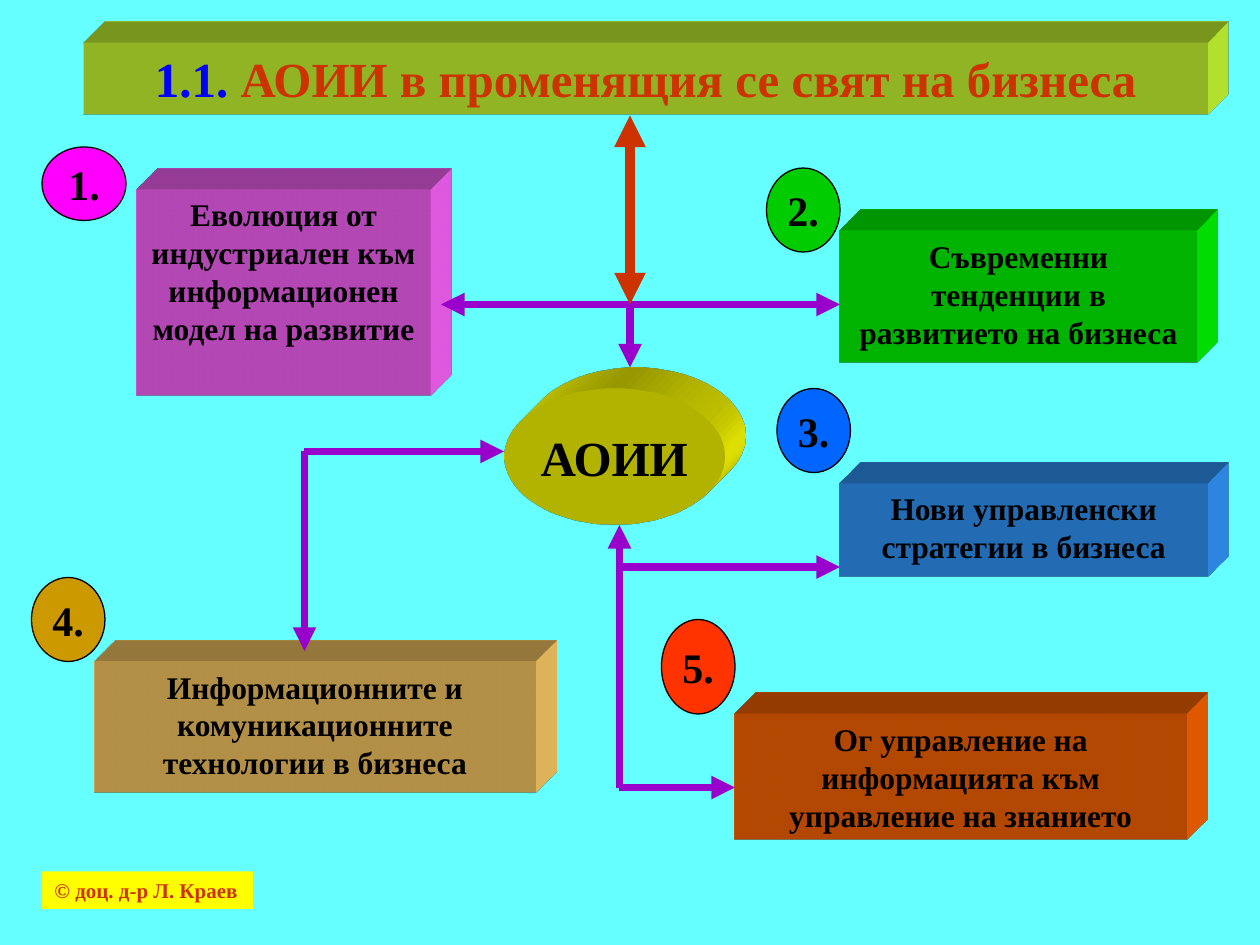
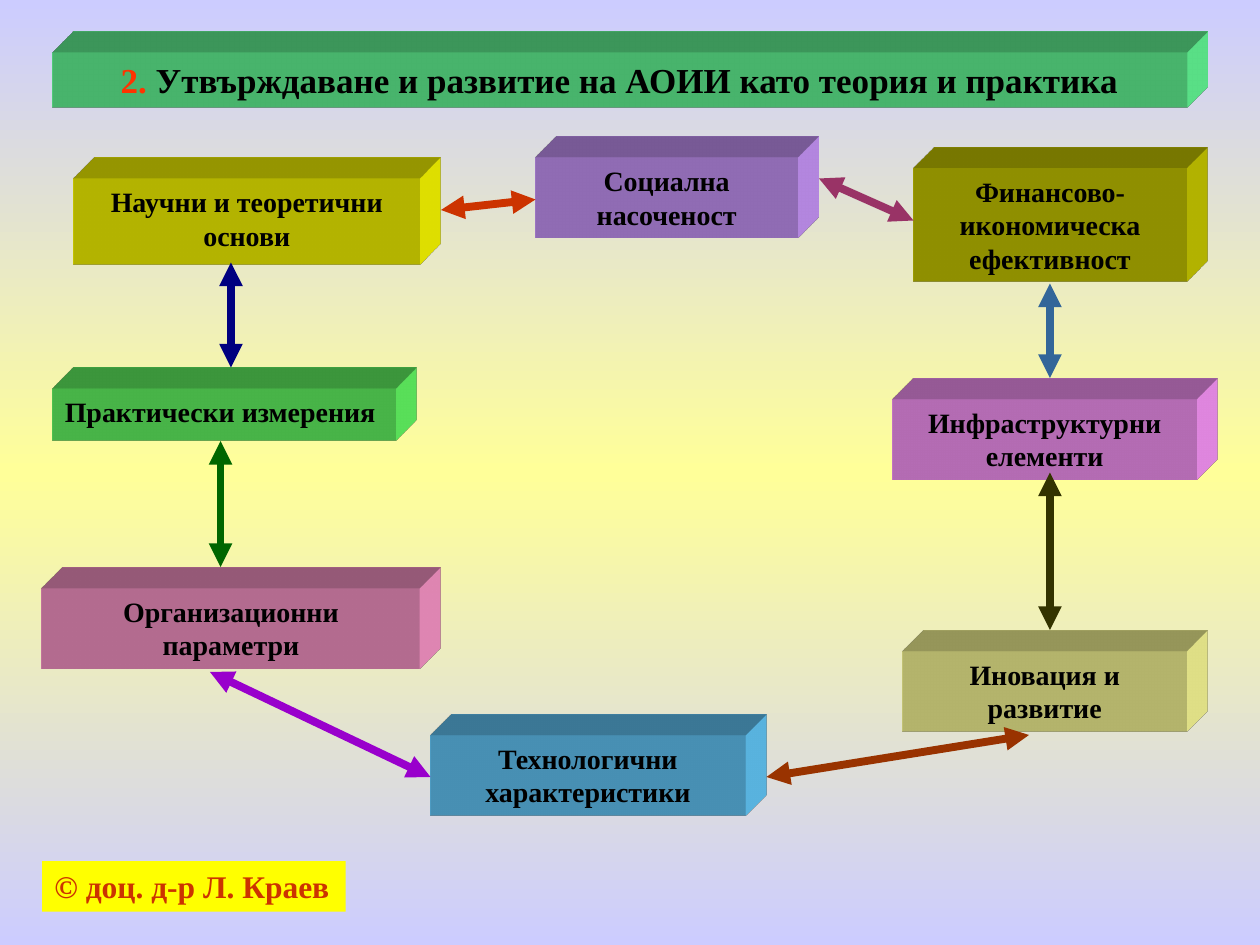
from dataclasses import dataclass

from pptx import Presentation
from pptx.dml.color import RGBColor
from pptx.enum.shapes import MSO_CONNECTOR, MSO_SHAPE
from pptx.enum.text import MSO_ANCHOR, PP_ALIGN
from pptx.oxml.ns import qn
from pptx.util import Pt
from lxml.etree import SubElement

FONT = "Times New Roman"
EXTRUSION = Pt(33.87)
COPYRIGHT = "© доц. д-р Л. Краев"

COLORS = {
    "black": "000000", "yellow": "FFFF00", "blue": "0000FF", "rust": "CC3300",
    "red": "FF3300", "aqua": "66FFFF", "lavender": "CCCCFF", "cream": "FFFF99",
    "lime": "CCFF33", "pink": "FF66FF", "green": "00FF00", "azure": "3399FF",
    "sand": "FFCC66", "orange": "FF6600", "magenta": "FF00FF", "gold": "CC9900",
    "leaf": "00CC00", "cobalt": "0066FF", "violet": "9900CC", "mint": "66FF99",
    "grass": "66FF66", "rose": "FF99CC", "sky": "66CCFF", "orchid": "FF99FF",
    "olive": "CCCC00", "lilac": "CC99FF", "navy": "000080", "forest": "006600",
    "brown": "993300", "dark_olive": "333300", "steel": "336699", "plum": "993366",
}


@dataclass
class Block:
    """An extruded box; left, top, width and height belong to its front."""
    left: float
    top: float
    width: float
    height: float
    color: str
    text: str
    number: str = ""
    number_color: str = "black"
    text_color: str = "black"
    align: PP_ALIGN = PP_ALIGN.CENTER
    wrap: bool = True


@dataclass
class Badge:
    left: float
    top: float
    width: float
    height: float
    color: str
    text: str


@dataclass
class Arrow:
    start: tuple[float, float]
    end: tuple[float, float]
    color: str = "violet"
    weight: float = 4.5
    heads: tuple[str, ...] = ("headEnd", "tailEnd")


def rgb(color: str) -> RGBColor:
    return RGBColor.from_string(COLORS[color])


def add_painted(slide, kind: MSO_SHAPE, left: float, top: float,
                width: float, height: float, color: str):
    shape = slide.shapes.add_shape(kind, Pt(left), Pt(top), Pt(width), Pt(height))
    shape.shadow.inherit = False
    shape.fill.solid()
    shape.fill.fore_color.rgb = rgb(color)
    shape.line.fill.background()
    return shape


def extrude(shape, color: str) -> None:
    """Give the shape depth, up and to the right."""
    properties = shape.element.spPr
    scene = SubElement(properties, qn("a:scene3d"))
    SubElement(scene, qn("a:camera"), prst="legacyObliqueTopRight")
    SubElement(scene, qn("a:lightRig"), rig="legacyFlat3", dir="b")
    solid = SubElement(properties, qn("a:sp3d"), extrusionH=str(int(EXTRUSION)),
                       prstMaterial="legacyMatte")
    for bevel in ("bevelT", "bevelB"):
        SubElement(solid, qn(f"a:{bevel}"), w="13500", h="13500", prst="angle")
    side_color = SubElement(solid, qn("a:extrusionClr"))
    SubElement(side_color, qn("a:srgbClr"), val=COLORS[color])


def write(shape, text: str, size: float, color: str = "black",
          align: PP_ALIGN = PP_ALIGN.CENTER, anchor: MSO_ANCHOR = MSO_ANCHOR.TOP,
          wrap: bool = True, number: str = "", number_color: str = "black") -> None:
    frame = shape.text_frame
    frame.word_wrap = wrap
    frame.vertical_anchor = anchor
    paragraph = frame.paragraphs[0]
    paragraph.alignment = align
    paragraph.font.name = FONT
    paragraph.font.size = Pt(size)
    paragraph.font.bold = True
    for part, part_color in ((number, number_color), (text, color)):
        if part:
            run = paragraph.add_run()
            run.text = part
            run.font.color.rgb = rgb(part_color)


def add_block(slide, block: Block, size: float) -> None:
    shape = add_painted(slide, MSO_SHAPE.RECTANGLE, block.left, block.top,
                        block.width, block.height, block.color)
    extrude(shape, block.color)
    write(shape, block.text, size, block.text_color, block.align, wrap=block.wrap,
          number=block.number, number_color=block.number_color)


def add_oval(slide, badge: Badge, size: float):
    oval = add_painted(slide, MSO_SHAPE.OVAL, badge.left, badge.top,
                       badge.width, badge.height, badge.color)
    write(oval, badge.text, size, anchor=MSO_ANCHOR.MIDDLE, wrap=False)
    return oval


def add_badge(slide, badge: Badge) -> None:
    oval = add_oval(slide, badge, 24)
    oval.line.color.rgb = rgb("black")
    oval.line.width = Pt(0.75)


def add_arrow(slide, arrow: Arrow) -> None:
    ends = [Pt(value) for value in (*arrow.start, *arrow.end)]
    connector = slide.shapes.add_connector(MSO_CONNECTOR.STRAIGHT, *ends)
    connector.line.color.rgb = rgb(arrow.color)
    connector.line.width = Pt(arrow.weight)
    properties = connector.element.spPr
    for head in arrow.heads:
        SubElement(properties.find(qn("a:ln")), qn(f"a:{head}"), type="triangle")
    SubElement(properties, qn("a:effectLst"))


def add_copyright(slide, top: float, width: float, height: float, size: float) -> None:
    label = add_painted(slide, MSO_SHAPE.RECTANGLE, 24, top, width, height, "yellow")
    write(label, COPYRIGHT, size, "rust", PP_ALIGN.LEFT, wrap=False)


def set_gradient_background(slide, colors: list[str]) -> None:
    """Spread the colours evenly from top to bottom."""
    fill = slide.background.fill
    fill.gradient()
    fill.gradient_angle = 270
    stop_list = next(slide.element.iter(qn("a:gsLst")))
    for stop in list(stop_list):
        stop_list.remove(stop)
    for index, color in enumerate(colors):
        position = 100000 * index // (len(colors) - 1)
        stop = SubElement(stop_list, qn("a:gs"), pos=str(position))
        SubElement(stop, qn("a:srgbClr"), val=COLORS[color])


def build_changing_world(presentation) -> None:
    slide = presentation.slides.add_slide(presentation.slide_layouts[6])
    slide.background.fill.solid()
    slide.background.fill.fore_color.rgb = rgb("aqua")
    title = Block(48, 24, 642, 41.25, "lime", " АОИИ в променящия се свят на бизнеса",
                  "1.1.", "blue", "rust")
    hub = Badge(288, 222, 126, 78, "yellow", "АОИИ")
    topics = [
        Block(78, 108, 168, 118, "pink",
              "Еволюция от индустриален към информационен модел на развитие"),
        Block(480, 132, 204, 75, "green", "Съвременни тенденции в развитието на бизнеса"),
        Block(480, 276, 210, 53.25, "azure", "Нови управленски стратегии в бизнеса"),
        Block(54, 378, 252, 75, "sand",
              "Информационните и комуникационните технологии в бизнеса"),
        Block(420, 408, 258, 72, "orange",
              "Ог управление на информацията към управление на знанието"),
    ]
    badges = [
        Badge(24, 84, 48, 42, "magenta", "1."),
        Badge(438, 96, 42, 48, "leaf", "2."),
        Badge(444, 222, 42, 48, "cobalt", "3."),
        Badge(18, 330, 42, 48, "gold", "4."),
        Badge(378, 354, 42, 54, "red", "5."),
    ]
    head, tail = ("headEnd",), ("tailEnd",)
    arrows = [
        Arrow((360, 174), (360, 210), heads=tail),
        Arrow((252, 174), (480, 174)),
        Arrow((288, 258), (174, 258), heads=head),
        Arrow((174, 258), (174, 372), heads=tail),
        Arrow((354, 300), (354, 450), heads=head),
        Arrow((354, 324), (480, 324), heads=tail),
        Arrow((354, 450), (420, 450), heads=tail),
        Arrow((360, 66), (360, 174), "rust", 6),
    ]
    add_block(slide, title, 28)
    extrude(add_oval(slide, hub, 28), hub.color)
    for topic in topics:
        add_block(slide, topic, 18)
    for badge in badges:
        add_badge(slide, badge)
    for arrow in arrows:
        add_arrow(slide, arrow)
    add_copyright(slide, 498, 120.5, 21.5, 12)


def build_theory_and_practice(presentation) -> None:
    slide = presentation.slides.add_slide(presentation.slide_layouts[6])
    set_gradient_background(slide, ["lavender", "cream", "lavender"])
    title = Block(30, 30, 648, 31.5, "mint",
                  " Утвърждаване и развитие на АОИИ като теория и практика", "2.", "red")
    aspects = [
        Block(42, 102, 198, 49, "yellow", "Научни и теоретични основи"),
        Block(30, 222, 196, 29.5, "grass", "Практически измерения",
              align=PP_ALIGN.LEFT, wrap=False),
        Block(24, 336, 216, 46, "rose", "Организационни параметри"),
        Block(246, 420, 180, 46, "sky", "Технологични характеристики"),
        Block(516, 372, 162, 46, "cream", "Иновация и развитие"),
        Block(510, 228, 174, 46, "orchid", "Инфраструктурни елементи"),
        Block(522, 96, 156, 65, "olive", "Финансово-икономическа ефективност"),
        Block(306, 90, 150, 46, "lilac", "Социална насоченост"),
    ]
    arrows = [
        Arrow((306, 114), (252, 120), "rust"),
        Arrow((132, 150), (132, 210), "navy"),
        Arrow((126, 252), (126, 324), "forest"),
        Arrow((120, 384), (246, 444), "violet"),
        Arrow((438, 444), (588, 420), "brown"),
        Arrow((600, 360), (600, 270), "dark_olive"),
        Arrow((600, 216), (600, 162), "steel"),
        Arrow((468, 102), (522, 126), "plum"),
    ]
    add_block(slide, title, 20)
    for aspect in aspects:
        add_block(slide, aspect, 16)
    add_copyright(slide, 492, 173.5, 29, 18)
    for arrow in arrows:
        add_arrow(slide, arrow)


def main() -> None:
    presentation = Presentation()
    presentation.slide_width, presentation.slide_height = Pt(720), Pt(540)
    build_changing_world(presentation)
    build_theory_and_practice(presentation)
    presentation.save("out.pptx")


if __name__ == "__main__":
    main()
